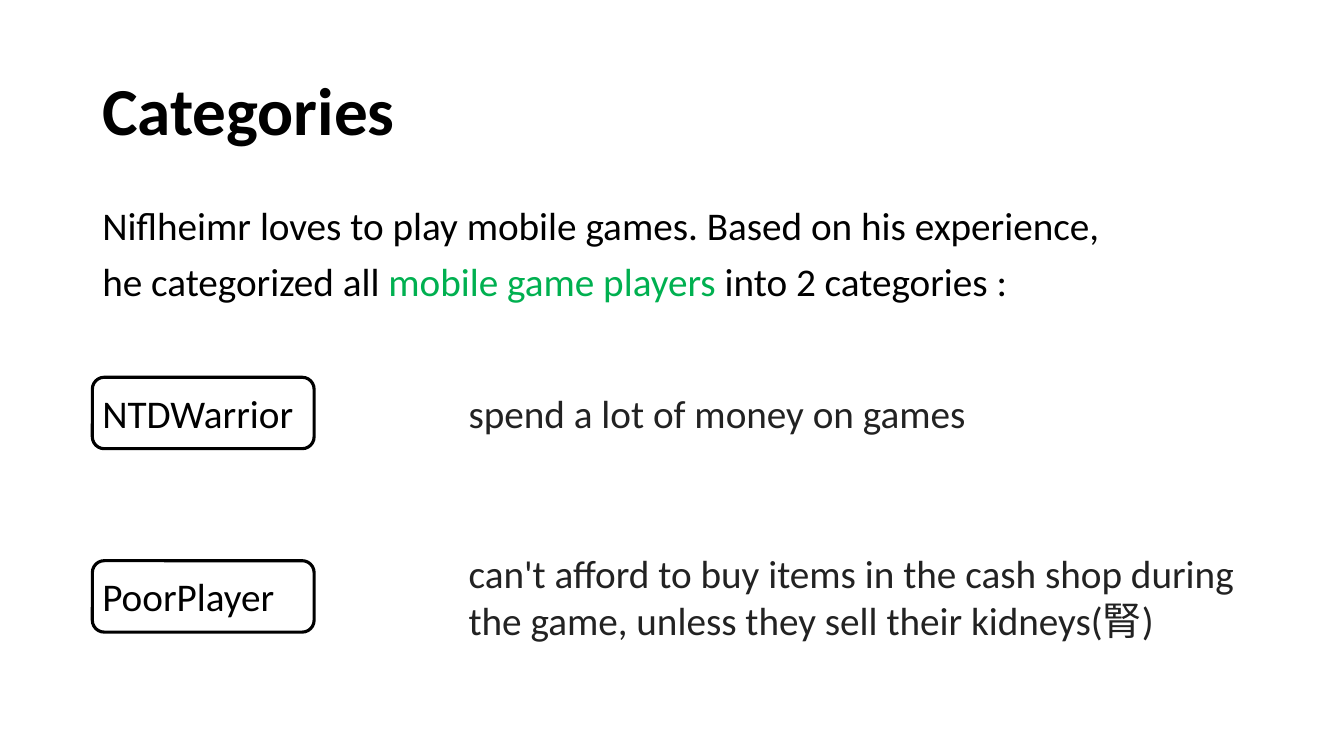
from pptx import Presentation
from pptx.dml.color import RGBColor
from pptx.enum import shapes, text
from pptx.util import Pt

FONT = "Calibri"
BLACK, GREEN, GREY = "000000", "00B050", "222222"
LEFT, WIDTH = 66, 828
LABEL_WIDTH, FRAME_WIDTH, FRAME_HEIGHT = 184, 158.4, 51
LINE_HEIGHT = 41.2
NOTE_LEFT, NOTE_WIDTH = 327.6, 579.6


def color(hex_code):
    return RGBColor.from_string(hex_code)


def add_text(page, left, top, width, height, paras, size=28, bold=False,
             anchor=text.MSO_ANCHOR.TOP, spacing=None, before=0):
    """Add a text box; each paragraph is a list of (words, colour) spans."""
    box = page.shapes.add_textbox(Pt(left), Pt(top), Pt(width), Pt(height))
    frame = box.text_frame
    frame.word_wrap = True
    frame.vertical_anchor = anchor
    for index, spans in enumerate(paras):
        para = frame.add_paragraph() if index else frame.paragraphs[0]
        para.line_spacing = spacing
        para.space_before = Pt(before)
        for words, hex_code in spans:
            span = para.add_run()
            span.text = words
            span.font.name = FONT
            span.font.size = Pt(size)
            span.font.bold = bold
            span.font.color.rgb = color(hex_code)


def add_frame(page, left, top):
    frame = page.shapes.add_shape(
        shapes.MSO_SHAPE.FLOWCHART_ALTERNATE_PROCESS,
        Pt(left), Pt(top), Pt(FRAME_WIDTH), Pt(FRAME_HEIGHT))
    frame.shadow.inherit = False
    frame.fill.background()
    frame.line.color.rgb = color(BLACK)
    frame.line.width = Pt(2.25)


def add_category(page, middle, name, note, note_lines):
    """Add a framed name and its description, centred on one height."""
    label_top = middle - LINE_HEIGHT / 2
    add_text(page, LEFT, label_top, LABEL_WIDTH, LINE_HEIGHT, [[(name, BLACK)]])
    add_frame(page, LEFT, middle - FRAME_HEIGHT / 2)
    note_height = LINE_HEIGHT + (note_lines - 1) * 33.9
    add_text(page, NOTE_LEFT, middle - note_height / 2, NOTE_WIDTH,
             note_height, [[(note, GREY)]])


def main():
    deck = Presentation()
    deck.slide_width, deck.slide_height = Pt(960), Pt(540)
    page = deck.slides.add_slide(deck.slide_layouts[6])

    # Title
    add_text(page, LEFT, 28.8, WIDTH, 104.4, [[("Categories ", BLACK)]],
             size=48, bold=True, anchor=text.MSO_ANCHOR.MIDDLE, spacing=0.9)

    # Introduction
    add_text(page, LEFT, 144, WIDTH, 118, [
        [("Niflheimr loves to play mobile games. Based on his experience, ",
          BLACK)],
        [("he categorized all ", BLACK), ("mobile game players", GREEN),
         (" into 2 categories :", BLACK)],
    ], spacing=0.9, before=10)

    # Categories
    add_category(page, 295, "NTDWarrior", "spend a lot of money on games", 1)
    add_category(page, 426, "PoorPlayer",
                 "can't afford to buy items in the cash shop during the game, "
                 "unless they sell their kidneys(腎)\u00a0", 2)

    deck.save("out.pptx")


main()
